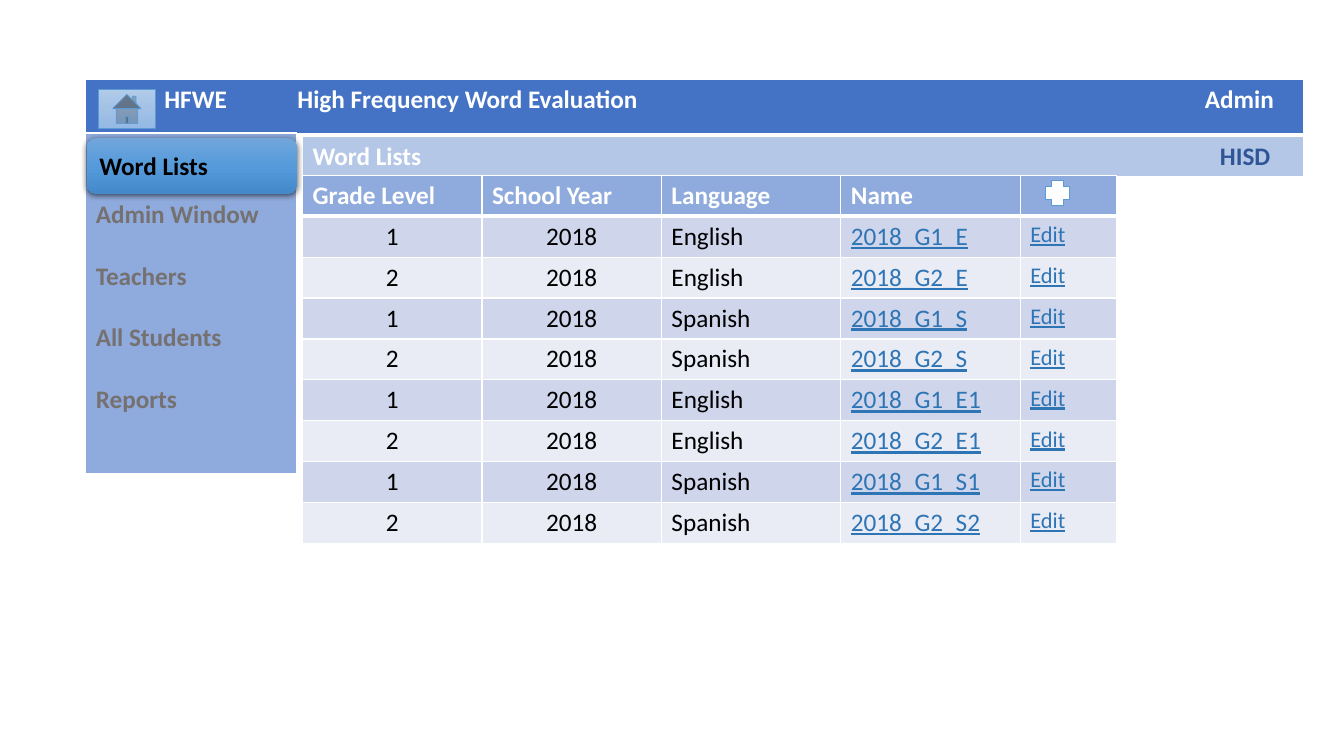
from copy import deepcopy

from lxml import etree
from pptx import Presentation
from pptx.dml.color import RGBColor
from pptx.enum.shapes import MSO_SHAPE as SHAPE
from pptx.enum.text import MSO_ANCHOR as ANCHOR, PP_ALIGN as ALIGN
from pptx.oxml.ns import qn
from pptx.util import Inches, Pt

WHITE = RGBColor(0xFF, 0xFF, 0xFF)
BLACK = RGBColor(0x00, 0x00, 0x00)
GRAY = RGBColor(0x76, 0x71, 0x71)
NAVY = RGBColor(0x2F, 0x55, 0x97)
LINK = RGBColor(0x2E, 0x75, 0xB6)
OUTLINE = RGBColor(0x5B, 0x9B, 0xD5)
BAR = RGBColor(0x44, 0x72, 0xC4)
PANEL = RGBColor(0x8F, 0xAA, 0xDC)
STRIP = RGBColor(0xB4, 0xC7, 0xE7)
BANDS = [RGBColor(0xCF, 0xD5, 0xEA), RGBColor(0xE9, 0xEB, 0xF5)]
HOME_STOPS = [RGBColor(0xB1, 0xCB, 0xE9), RGBColor(0xA3, 0xC1, 0xE5), RGBColor(0x93, 0xB9, 0xE4)]
BUTTON_STOPS = [RGBColor(0x71, 0xA6, 0xDB), RGBColor(0x55, 0x9B, 0xDB), RGBColor(0x44, 0x8A, 0xCA)]


def add_run(p, text, color, bold=True, size=18, underline=None):
    r = p.add_run()
    r.text = text
    r.font.name = "Calibri"
    r.font.size = Pt(size)
    r.font.bold = bold
    r.font.underline = underline
    r.font.color.rgb = color


def add_grid(x, y, widths, height, head_fill, rows=1):
    table = s.shapes.add_table(rows, len(widths), Inches(x), Inches(y),
                               Inches(sum(widths)), Inches(height)).table
    for col, width in zip(table.columns, widths):
        col.width = Inches(width)
    for i, row in enumerate(table.rows):
        row.height = Inches(height / rows)
        for cell in row.cells:
            tcPr = cell._tc.get_or_add_tcPr()
            for side in "LRTB":
                thick = (side == "B" and i == 0) or (side == "T" and i == 1)
                ln = etree.SubElement(tcPr, qn("a:ln" + side), w=str(Pt(3 if thick else 1)))
                line_fill = etree.SubElement(ln, qn("a:solidFill"))
                etree.SubElement(line_fill, qn("a:srgbClr"), val=str(WHITE))
            cell.fill.solid()
            cell.fill.fore_color.rgb = BANDS[(i - 1) % 2] if i else head_fill
    return table


prs = Presentation()
prs.slide_width = Inches(13.33)
prs.slide_height = Inches(7.5)
s = prs.slides.add_slide(prs.slide_layouts[6])

bars = [
    (0.85, 0.79, 12.08, 0.55, BAR, 0.78, [1.32, 10.32],
     [("HFWE\tHigh Frequency Word Evaluation\tAdmin", WHITE)]),
    (3, 1.35, 9.93, 0.41, STRIP, 0.1, [9], [("Word Lists\t", WHITE), ("HISD", NAVY)]),
]
for x, y, width, height, fill, margin, stops, runs in bars:
    cell = add_grid(x, y, [width], height, fill).cell(0, 0)
    cell.margin_left = Inches(margin)
    p = cell.text_frame.paragraphs[0]
    tabs = etree.SubElement(p._p.get_or_add_pPr(), qn("a:tabLst"))
    for stop in stops:
        etree.SubElement(tabs, qn("a:tab"), pos=str(Inches(stop)), algn="l")
    for text, color in runs:
        add_run(p, text, color)

cell = add_grid(0.85, 1.32, [2.09], 3.39, PANEL).cell(0, 0)
cell.margin_top = Inches(0.66)
tf = cell.text_frame
for i, text in enumerate(["Admin Window", "Teachers", "All Students", "Reports"]):
    p = tf.add_paragraph() if i else tf.paragraphs[0]
    p.space_before = Pt(22 if i else 0)
    add_run(p, text, GRAY)

home = s.shapes.add_shape(SHAPE.ACTION_BUTTON_HOME, Inches(0.98), Inches(0.89), Inches(0.56), Inches(0.38))
button = s.shapes.add_shape(SHAPE.ROUNDED_RECTANGLE, Inches(0.86), Inches(1.37), Inches(2.09), Inches(0.55))
for sp, colors in [(home, HOME_STOPS), (button, BUTTON_STOPS)]:
    sp.shadow.inherit = False
    sp.fill.gradient()
    sp.fill.gradient_angle = 270
    gsLst = sp._element.spPr.find(".//" + qn("a:gsLst"))
    gsLst.append(deepcopy(gsLst[0]))
    for i, (stop, color) in enumerate(zip(sp.fill.gradient_stops, colors)):
        stop.position = i / 2
        stop.color.rgb = color
home.line.color.rgb = OUTLINE
home.line.width = Pt(0.5)

button.line.fill.background()
shadow = etree.SubElement(button._element.spPr.find(qn("a:effectLst")), qn("a:outerShdw"),
                          blurRad=str(Pt(4.5)), dist=str(Pt(1.5)), dir="5400000",
                          algn="ctr", rotWithShape="0")
shadow_color = etree.SubElement(shadow, qn("a:srgbClr"), val=str(BLACK))
etree.SubElement(shadow_color, qn("a:alpha"), val="63000")
tf = button.text_frame
tf.vertical_anchor = ANCHOR.MIDDLE
p = tf.paragraphs[0]
p.alignment = ALIGN.LEFT
add_run(p, "Word Lists", BLACK)

word_lists = [
    ("1", "English", "2018_G1_E"),
    ("2", "English", "2018_G2_E"),
    ("1", "Spanish", "2018_G1_S"),
    ("2", "Spanish", "2018_G2_S"),
    ("1", "English", "2018_G1_E1"),
    ("2", "English", "2018_G2_E1"),
    ("1", "Spanish", "2018_G1_S1"),
    ("2", "Spanish", "2018_G2_S2"),
]
table = add_grid(3, 1.74, [1.78] * 4 + [0.95], 3.65, PANEL, len(word_lists) + 1)
for j, text in enumerate(["Grade Level", "School Year", "Language", "Name"]):
    add_run(table.cell(0, j).text_frame.paragraphs[0], text, WHITE)
for i, (grade, language, name) in enumerate(word_lists, 1):
    for j, text in enumerate([grade, "2018", language, name, "Edit"]):
        p = table.cell(i, j).text_frame.paragraphs[0]
        p.alignment = ALIGN.CENTER if j < 2 else ALIGN.LEFT
        is_link = j > 2
        add_run(p, text, LINK if is_link else BLACK, False, 16 if j == 4 else 18, is_link)

plus = s.shapes.add_shape(SHAPE.CROSS, Inches(10.37), Inches(1.79), Inches(0.24), Inches(0.25))
plus.shadow.inherit = False
plus.fill.solid()
plus.fill.fore_color.rgb = WHITE
plus.line.color.rgb = OUTLINE
plus.line.width = Pt(1)

prs.save("out.pptx")
